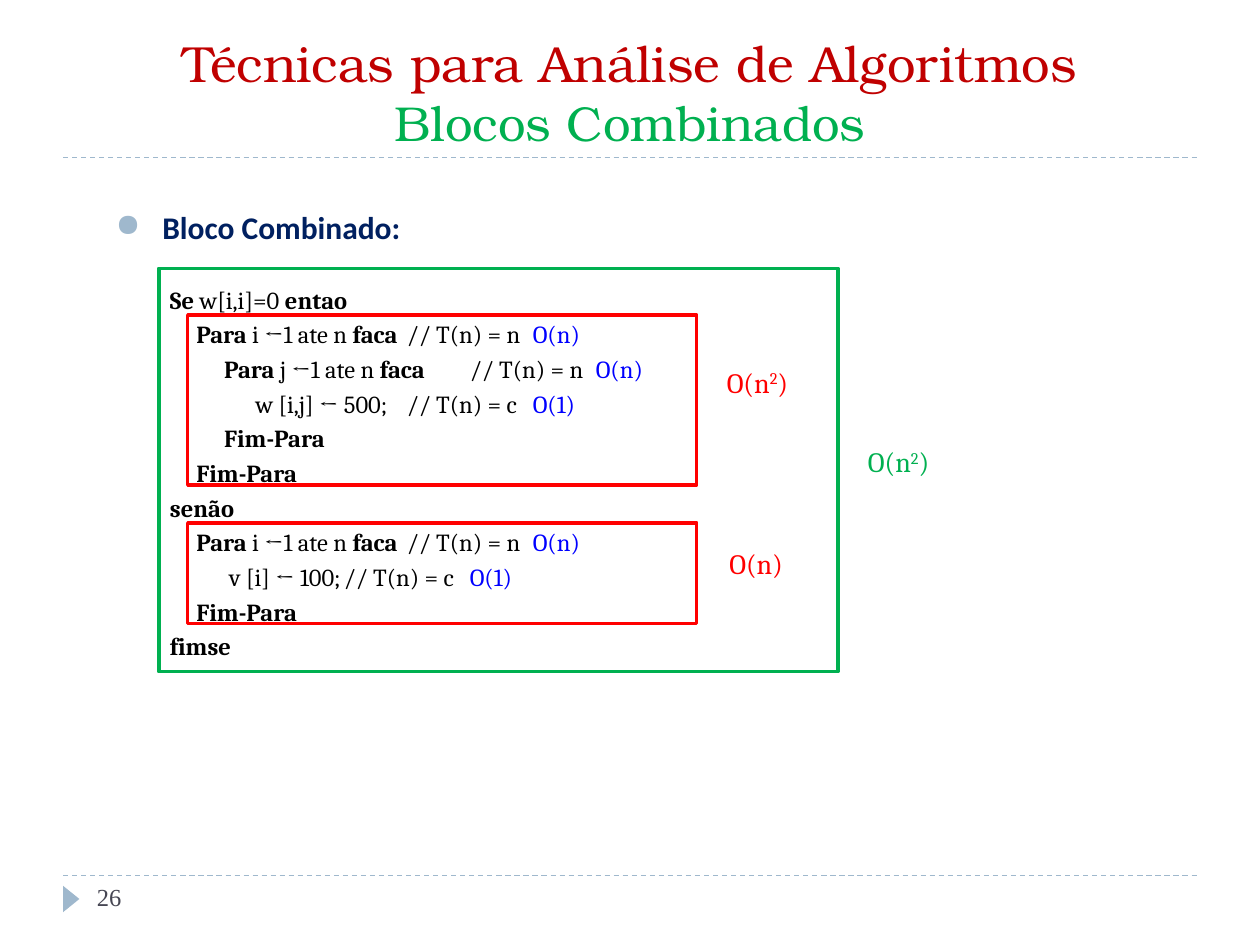
from dataclasses import dataclass

from lxml.etree import SubElement
from pptx import Presentation
from pptx.dml.color import RGBColor
from pptx.enum.dml import MSO_LINE
from pptx.enum.shapes import MSO_CONNECTOR, MSO_SHAPE
from pptx.enum.text import MSO_ANCHOR, PP_ALIGN
from pptx.oxml.ns import qn
from pptx.util import Inches, Pt


@dataclass(frozen=True)
class Theme:
    # Colours
    maroon: str = "C00000"
    green: str = "00B050"
    red: str = "FF0000"
    blue: str = "0000FF"
    navy: str = "002060"
    steel: str = "9FB8CD"
    slate: str = "464653"
    black: str = "000000"
    # Type sizes
    title: int = 29
    sub: int = 28
    head: int = 18
    cost: int = 16
    code: int = 14
    # Fonts
    serif: str = "Cambria"
    sans: str = "Calibri"
    show: str = "TeX Gyre Bonum"
    page: str = "Times New Roman"


def rgb(hue):
    return RGBColor.from_string(hue)


class Deck:
    def __init__(self, theme):
        self.theme = theme
        self.file = Presentation()
        self.file.slide_width, self.file.slide_height = Inches(10), Inches(7.5)
        self.slide = self.file.slides.add_slide(self.file.slide_layouts[6])

    def style(self, para, face, size, hue):
        para.font.name, para.font.size = face, Pt(size)
        para.font.color.rgb = rgb(hue)

    def frame(self, *box):
        frame = self.slide.shapes.add_textbox(*map(Inches, box)).text_frame
        frame.word_wrap = True
        return frame

    def text(self, box, words, face, size, hue):
        para = self.frame(*box).paragraphs[0]
        para.add_run().text = words
        self.style(para, face, size, hue)
        return para

    def title(self, box, lines):
        frame = self.frame(*box)
        frame.vertical_anchor = MSO_ANCHOR.BOTTOM
        para = frame.paragraphs[0]
        para.alignment = PP_ALIGN.CENTER
        para.font.name = self.theme.show
        for num, (words, size, hue) in enumerate(lines):
            if num:
                para.add_line_break()
            run = para.add_run()
            run.text = words
            run.font.size, run.font.color.rgb = Pt(size), rgb(hue)

    def bullet(self, box, words):
        t = self.theme
        para = self.text(box, words, t.sans, t.head, t.navy)
        para.font.bold = True
        props = para._p.get_or_add_pPr()
        props.set("marL", str(Inches(0.37)))
        props.set("indent", str(-Inches(0.37)))
        mark = props.makeelement(qn("a:buClr"))
        SubElement(mark, qn("a:srgbClr"), val=t.steel)
        sign = props.makeelement(qn("a:buChar"), char="●")
        props.insert(0, mark)
        props.insert(1, sign)

    def code(self, box, lines):
        t = self.theme
        frame = self.frame(*box)
        for num, (inset, parts, tabs, note, cost) in enumerate(lines):
            para = frame.paragraphs[0] if num == 0 else frame.add_paragraph()
            para.space_before = Pt(3 if num else 0)
            props = para._p.get_or_add_pPr()
            props.set("marL", "0")
            props.set("indent", str(Inches(inset)))
            if tabs:
                stops = SubElement(props, qn("a:tabLst"))
                for stop in tabs:
                    SubElement(stops, qn("a:tab"), pos=str(Inches(stop)), algn="l")
            self.style(para, t.serif, t.code, t.black)
            # Keywords stand at even places and are bold
            for place, words in enumerate(parts):
                if words:
                    run = para.add_run()
                    run.text, run.font.bold = words, place % 2 == 0
            if note:
                para.add_run().text = f"\t{note}\t"
                run = para.add_run()
                run.text, run.font.color.rgb = cost, rgb(t.blue)

    def cost(self, left, top, power, hue):
        t = self.theme
        width = 0.84 if power else 0.67
        para = self.text((left, top, width, 0.37), "O(n", t.serif, t.cost, hue)
        if power:
            run = para.add_run()
            run.text = power
            run._r.get_or_add_rPr().set("baseline", "30000")
        para.add_run().text = ")"

    def rect(self, box, hue):
        shape = self.slide.shapes.add_shape(MSO_SHAPE.RECTANGLE, *map(Inches, box))
        shape.shadow.inherit = False
        shape.fill.background()
        shape.line.color.rgb, shape.line.width = rgb(hue), Pt(2)

    def rule(self, top):
        line = self.slide.shapes.add_connector(
            MSO_CONNECTOR.STRAIGHT, Inches(0.5), Inches(top), Inches(9.5), Inches(top))
        line.line.color.rgb, line.line.width = rgb(self.theme.steel), Pt(0.75)
        line.line.dash_style = MSO_LINE.DASH
        SubElement(line._element.spPr, qn("a:effectLst"))

    def arrow(self, box):
        shape = self.slide.shapes.add_shape(
            MSO_SHAPE.ISOSCELES_TRIANGLE, *map(Inches, box))
        shape.shadow.inherit = False
        shape.rotation = 90
        shape.fill.solid()
        shape.fill.fore_color.rgb = rgb(self.theme.steel)
        shape.line.fill.background()


def main():
    t = Theme()
    deck = Deck(t)

    # Rules and page mark
    for top in (6.95, 1.25):
        deck.rule(top)
    deck.arrow((0.46, 7.07, 0.21, 0.13))

    # Title, heading and page number
    deck.title((0.5, 0.25, 9, 1), [
        ("Técnicas para Análise de Algoritmos", t.title, t.maroon),
        ("Blocos Combinados", t.sub, t.green)])
    deck.bullet((0.82, 1.6, 8.5, 5.14), "Bloco Combinado:")
    deck.text((0.67, 6.95, 2.17, 0.4), "26", t.page, t.code, t.slate)

    # Inner blocks and their costs
    for top, height in ((4.15, 0.8), (2.5, 1.35)):
        deck.rect((1.49, top, 4.04, height), t.red)
    deck.cost(5.69, 4.29, "", t.red)
    deck.cost(5.67, 2.85, "2", t.red)

    # Code: inset, words, tab stops, note, cost
    base, loop, deep = 0.12, 0.33, 0.55
    outer = ("Para ", "i ←1 ate n", " faca")
    inner = ("Para ", "j ←1 ate n", " faca")
    line, const = "// T(n) = n", "// T(n) = c"

    def plain(inset, *parts):
        return inset, parts, (), "", ""

    deck.code((1.13, 2.21, 5.15, 3.13), [
        plain(base, "Se ", "w[i,i]=0 ", "entao"),
        (loop, outer, (2.33, 3.39), line, "O(n)"),
        (deep, inner, (2.28, 3.34), line, "O(n)"),
        (0.8, ("", "w [i,j] ← 500;"), (2.33, 3.41), const, "O(1)"),
        plain(deep, "Fim-Para"),
        plain(loop, "Fim-Para"),
        plain(base, "senão"),
        (loop, outer, (2.24, 3.26), line, "O(n)"),
        (0.59, ("", "v [i] ← 100;"), (2.88, 3.91), const, "O(1)"),
        plain(loop, "Fim-Para"),
        plain(base, "fimse")])

    # Whole block and its cost
    deck.rect((1.26, 2.13, 5.39, 3.2), t.green)
    deck.cost(6.79, 3.48, "2", t.green)

    deck.file.save("out.pptx")


if __name__ == "__main__":
    main()
